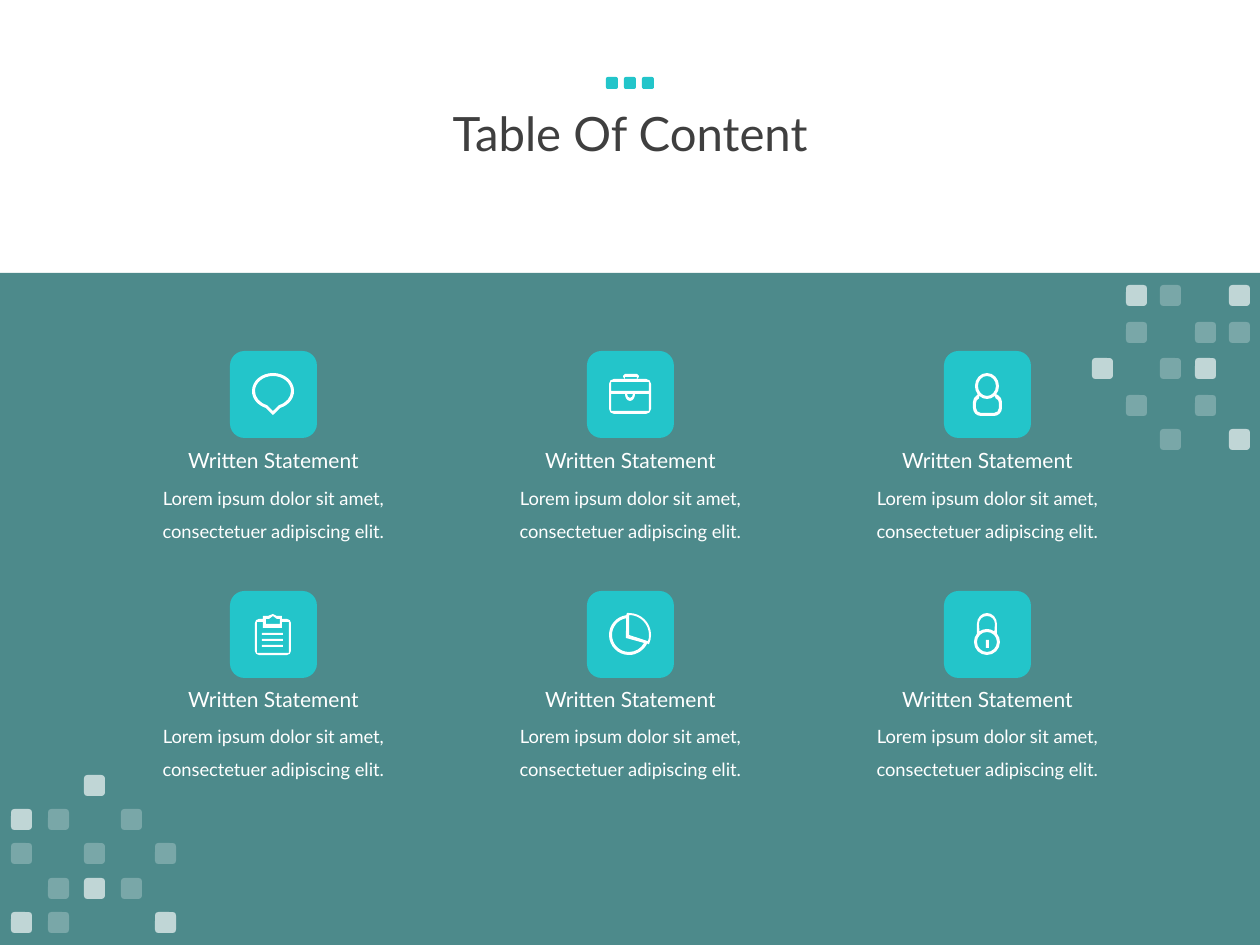
import math

import pptx
import pptx.dml.color
import pptx.enum.shapes
import pptx.enum.text
import pptx.oxml
import pptx.oxml.ns
import pptx.util

PX = 914400 / 126
FONT = "Lato"
COLORS = {"band": "126365", "tile": "23C5CA", "white": "FFFFFF", "title": "3F3F3F"}
KIND = pptx.enum.shapes.MSO_SHAPE
ALPHA = {"#": 65, "o": 25}
LOWER = ["..#..", "#o.o.", "o.o.o", ".o#o.", "#o..#"]
UPPER = [".#o.#", ".o.oo", "#.o#.", ".o.o.", "..o.#"]
WIDE = [0, 37, 73, 110, 144]
TIGHT = [0, 34, 68, 103, 137]


def emu(n):
    return pptx.util.Emu(round(n * PX))


def paint(shape, color, alpha=100):
    shape.shadow.inherit = False
    shape.line.fill.background()
    shape.fill.solid()
    shape.fill.fore_color.rgb = pptx.dml.color.RGBColor.from_string(COLORS[color])
    if alpha < 100:
        tint = shape.fill._xPr.find(".//" + pptx.oxml.ns.qn("a:srgbClr"))
        node = pptx.oxml.parse_xml(
            f'<a:alpha {pptx.oxml.ns.nsdecls("a")} val="{alpha * 1000}"/>')
        tint.append(node)


def block(shapes, kind, box, color, alpha=100):
    paint(shapes.add_shape(kind, *map(emu, box)), color, alpha)


def write(shapes, text, box, size, color="white", space=1.0):
    frame = shapes.add_textbox(*map(emu, box)).text_frame
    frame.word_wrap = True
    frame.vertical_anchor = pptx.enum.text.MSO_ANCHOR.MIDDLE
    para = frame.paragraphs[0]
    para.text = text
    para.alignment = pptx.enum.text.PP_ALIGN.CENTER
    para.line_spacing = space
    font = para.font
    font.name = FONT
    font.size = pptx.util.Pt(size)
    font.color.rgb = pptx.dml.color.RGBColor.from_string(COLORS[color])


def arc(x, y, wide, high, start=0, end=360):
    low, top = sorted((start, end))
    mids = [a for a in range(-360, 721, 90) if low < a < top]
    stops = sorted([low, *mids, top], reverse=start > end)

    def spot(turn, pull=0):
        c, s = math.cos(turn), math.sin(turn)
        return x + wide * (c - pull * s), y + high * (s + pull * c)

    steps = [spot(math.radians(start))]
    for a, b in zip(stops, stops[1:]):
        a, b = math.radians(a), math.radians(b)
        pull = 4 / 3 * math.tan((b - a) / 4)
        steps.append(spot(a, pull) + spot(b, -pull) + spot(b))
    return steps


def pill(x, y, wide, high, r):
    ends = [(x + wide - r, y + high - r), (x + r, y + high - r),
            (x + r, y + r), (x + wide - r, y + r)]
    return [p for i, (a, b) in enumerate(ends) for p in arc(a, b, r, r, 90 * i, 90 * i + 90)]


def bar(x, y, wide, high):
    return [(x, y), (x + wide, y), (x + wide, y + high), (x, y + high)]


def bubble():
    return [arc(43, 40, 21, 18, 110, 430) + [(43, 64)],
            arc(43, 40, 18, 15, 110, 430) + [(43, 60)]]


def case():
    return [pill(22, 28, 42, 35, 5), pill(36, 23, 16, 5, 2), bar(38, 26, 12, 2),
            bar(24, 31, 38, 9),
            [(24, 43)] + arc(43, 43, 5, 7, 180, 0) + [(62, 43), (62, 60), (24, 60)],
            arc(43, 43, 3, 4, 0, 180)]


def person():
    return [arc(43, 35, 12, 13, 140, 400) + arc(50, 51, 8, 8, -60, 0)
            + arc(50, 57, 8, 8, 0, 90) + arc(37, 57, 8, 8, 90, 180)
            + arc(37, 51, 8, 8, 180, 240),
            arc(43, 35, 9, 10),
            arc(50, 52, 5, 5, -70, 0) + arc(50, 57, 5, 5, 0, 90)
            + arc(37, 57, 5, 5, 90, 180) + arc(37, 52, 5, 5, 180, 250)
            + arc(43, 35, 12, 13, 130, 50)]


def board():
    clip = [(33, 28), (33, 25), (38, 25), (43, 23), (47, 25), (52, 25), (52, 28)]
    edge = pill(25, 28, 36, 36, 4)
    notch = [(27, 31), (33, 31), (33, 37), (52, 37), (52, 31), (59, 31), (59, 62), (27, 62)]
    hole = [(36, 28), (39, 28), (43, 25), (47, 28), (50, 28), (50, 33), (36, 33)]
    return [edge[:6] + clip + edge[6:], notch, hole] + [bar(32, y, 21, 2) for y in (42, 48, 54)]


def pie():
    return [[(40, 22)] + arc(42, 44, 22, 22, -90, 25) + arc(42, 44, 20, 20, 25, 262),
            [(39, 47)] + arc(42, 44, 17, 17, 28, 260),
            [(42, 44)] + arc(42, 44, 20, 20, -90, 18)]


def lock():
    return [arc(43, 33, 10, 11, 180, 360) + arc(43, 51, 13, 13, -40, 220),
            arc(43, 33, 8, 8, 180, 360) + arc(43, 51, 13, 13, -55, -125),
            arc(43, 51, 10, 10), bar(42, 49, 3, 8)]


def bend(shape, steps):
    nodes = list(shape._element.iter(pptx.oxml.ns.qn("a:lnTo")))
    for node, step in zip(nodes, steps):
        if len(step) == 6:
            node.tag = pptx.oxml.ns.qn("a:cubicBezTo")
            for i in (0, 1):
                a, b = step[2 * i] - shape.left, step[2 * i + 1] - shape.top
                node.insert(i, pptx.oxml.parse_xml(
                    f'<a:pt {pptx.oxml.ns.nsdecls("a")} x="{a}" y="{b}"/>'))


def draw(shapes, x, y, loops):
    loops = [[tuple(emu(n + (x, y)[i % 2]) for i, n in enumerate(step)) for step in loop]
             for loop in loops]
    pen = shapes.build_freeform(*loops[0][0], scale=1.0)
    for i, loop in enumerate(loops):
        if i:
            pen.move_to(*loop[0])
        pen.add_line_segments([step[-2:] for step in loop[1:]], close=False)
        pen.add_line_segments([loop[0]], close=True)
    shape = pen.convert_to_shape()
    bend(shape, [step for loop in loops for step in loop[1:] + loop[:1]])
    paint(shape, "white")


def header(shapes, x, y, wide, high):
    write(shapes, "Table Of Content", (x, y, wide, high), 27, "title", 0.9)
    dots = shapes.add_group_shape().shapes
    for i in range(3):
        block(dots, KIND.ROUNDED_RECTANGLE, (x + 519 + 18 * i, y + 32, 12, 12), "tile")


def card(shapes, x, y, icon, drop, gap):
    block(shapes, KIND.ROUNDED_RECTANGLE, (x + 114, y, 87, 87), "tile")
    draw(shapes, x + 114, y, icon())
    write(shapes, "Lorem ipsum dolor sit amet, consectetuer adipiscing elit.",
          (x, y + drop + gap, 315, 76), 10.5, space=1.5)
    write(shapes, "Written Statement", (x, y + drop, 315, 38), 12)


def cards(shapes, x, y):
    for i, icon in enumerate((bubble, case, person, board, pie, lock)):
        row, col = divmod(i, 3)
        card(shapes, x + 357 * col, y + 240 * row, icon, 90 - row, 30 - row)


def mosaic(shapes, x, y, rows, across, down):
    group = shapes.add_group_shape().shapes
    for top, row in zip(down, rows):
        for left, mark in zip(across, row):
            if mark in ALPHA:
                block(group, KIND.ROUNDED_RECTANGLE, (x + left, y + top, 21, 21),
                      "white", ALPHA[mark])


def main():
    deck = pptx.Presentation()
    deck.slide_width, deck.slide_height = emu(1260), emu(945)
    shapes = deck.slides.add_slide(deck.slide_layouts[6]).shapes
    header(shapes, 87, 45, 1086, 183)
    block(shapes, KIND.RECTANGLE, (0, 273, 1260, 672), "band", 75)
    cards(shapes, 116, 351)
    mosaic(shapes, 11, 775, LOWER, WIDE, TIGHT)
    mosaic(shapes, 1092, 285, UPPER, TIGHT, WIDE)
    deck.save("out.pptx")


if __name__ == "__main__":
    main()
